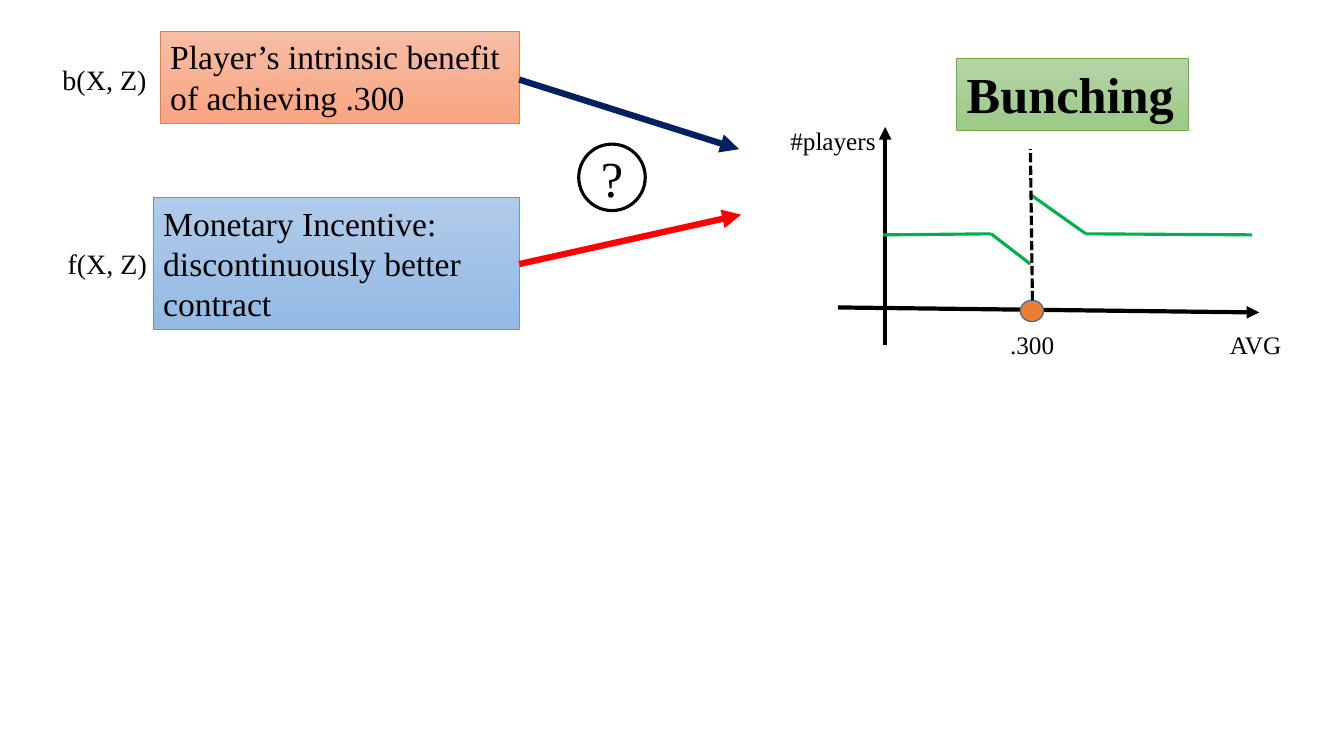
from itertools import pairwise

from lxml import etree
from pptx import Presentation
from pptx.dml.color import RGBColor
from pptx.enum.dml import MSO_LINE
from pptx.enum.shapes import MSO_CONNECTOR, MSO_SHAPE
from pptx.enum.text import MSO_ANCHOR, MSO_AUTO_SIZE, PP_ALIGN
from pptx.oxml.ns import qn
from pptx.util import Inches, Pt

COLORS = {
    "black": "000000", "white": "FFFFFF", "navy": "002060", "red": "FF0000",
    "curve": "00B050", "dot": "ED7D31", "dot_edge": "43739E",
}
# gradient top, gradient bottom, border
BOX_COLORS = {
    "orange": ("F7BDA5", "F8A582", "ED7D31"),
    "blue": ("B1CBE9", "93B9E4", "5B9BD5"),
    "green": ("B5D5A7", "9CC987", "70AD47"),
}


def rgb(name):
    return RGBColor.from_string(COLORS.get(name, name))


def write(sp, text, size, **formats):
    """Fill the shape with one paragraph per line of text."""
    tf = sp.text_frame
    tf.word_wrap = True
    tf.auto_size = MSO_AUTO_SIZE.SHAPE_TO_FIT_TEXT
    tf.text = text
    values = {"name": "Times New Roman", "size": Pt(size), **formats}
    for p in tf.paragraphs:
        p.alignment = PP_ALIGN.LEFT
        for r in p.runs:
            r.font.color.rgb = rgb("black")
            for key, value in values.items():
                setattr(r.font, key, value)
    return tf


def add_label(s, x, y, w, h, text, size=18, tight=False):
    """Add a text box; a tight one has no margins and does not wrap."""
    sp = s.shapes.add_textbox(Inches(x), Inches(y), Inches(w), Inches(h))
    tf = write(sp, text, size)
    if tight:
        tf.word_wrap = False
        for side in ("left", "top", "right", "bottom"):
            setattr(tf, f"margin_{side}", 0)


def add_outlined(s, kind, x, y, w, h, line, width):
    sp = s.shapes.add_shape(kind, Inches(x), Inches(y), Inches(w), Inches(h))
    sp.shadow.inherit = False
    sp.line.color.rgb = rgb(line)
    sp.line.width = Pt(width)
    return sp


def add_gradient_box(s, x, y, w, h, text, scheme, size=24, **formats):
    top, bottom, border = BOX_COLORS[scheme]
    sp = add_outlined(s, MSO_SHAPE.RECTANGLE, x, y, w, h, border, 0.5)
    sp.fill.gradient()
    sp.fill.gradient_angle = 270
    for stop, color, position in zip(sp.fill.gradient_stops, (top, bottom), (0, 1)):
        stop.color.rgb = rgb(color)
        stop.position = position
    write(sp, text, size, **formats).vertical_anchor = MSO_ANCHOR.TOP


def add_ellipse(s, x, y, w, h, fill, line, width):
    sp = add_outlined(s, MSO_SHAPE.OVAL, x, y, w, h, line, width)
    sp.fill.solid()
    sp.fill.fore_color.rgb = rgb(fill)
    return sp


def add_line(s, x, y, start, end, color, width, arrow=False, dash=None):
    """Join two points given relative to (x, y)."""
    (x1, y1), (x2, y2) = start, end
    c = s.shapes.add_connector(MSO_CONNECTOR.STRAIGHT, Inches(x + x1),
                               Inches(y + y1), Inches(x + x2), Inches(y + y2))
    c.line.color.rgb = rgb(color)
    c.line.width = Pt(width)
    if dash:
        c.line.dash_style = dash
    if arrow:
        etree.SubElement(c.line._get_or_add_ln(), qn("a:tailEnd"), type="triangle")
    etree.SubElement(c._element.spPr, qn("a:effectLst"))


def draw_incentives(s, x, y):
    """Draw the two incentives, their arrows and the question mark."""
    add_gradient_box(s, x + 0.99, y + 0.01, 3.56, 0.91,
                     "Player’s intrinsic benefit\nof achieving .300", "orange")
    add_gradient_box(s, x + 0.92, y + 1.66, 3.63, 1.31,
                     "Monetary Incentive: discontinuously better contract", "blue")
    add_label(s, x + 0.02, y + 0.32, 0.84, 0.34, "b(X, Z)", 20, tight=True)
    add_label(s, x + 0.07, y + 2.15, 0.79, 0.34, "f(X, Z)", 20, tight=True)

    add_line(s, x, y, (4.55, 0.49), (6.73, 1.18), "navy", 4.5, arrow=True)
    add_line(s, x, y, (4.55, 2.32), (6.75, 1.83), "red", 4.5, arrow=True)

    question = add_ellipse(s, x + 5.14, y + 1.13, 0.66, 0.66, "white", "black", 2.25)
    tf = write(question, "?", 36)
    tf.auto_size = MSO_AUTO_SIZE.NONE
    tf.vertical_anchor = MSO_ANCHOR.MIDDLE
    tf.paragraphs[0].alignment = PP_ALIGN.CENTER


def draw_bunching_graph(s, x, y):
    add_gradient_box(s, x + 1.79, y + 0.08, 2.3, 0.71, "Bunching", "green", 36, bold=True)

    axes = [((0.61, 2.55), (4.79, 2.6)), ((1.08, 2.92), (1.08, 0.76))]
    for start, end in axes:
        add_line(s, x, y, start, end, "black", 3, arrow=True)

    below_cutoff = [(1.06, 1.83), (2.13, 1.82), (2.52, 2.12)]
    above_cutoff = [(2.52, 1.43), (3.07, 1.82), (4.72, 1.83)]
    for branch in (below_cutoff, above_cutoff):
        for start, end in pairwise(branch):
            add_line(s, x, y, start, end, "curve", 2.25)

    add_ellipse(s, x + 2.42, y + 2.48, 0.23, 0.21, "dot", "dot_edge", 1)
    add_line(s, x, y, (2.54, 2.48), (2.52, 0.98), "black", 2.25,
             dash=MSO_LINE.SQUARE_DOT)

    add_label(s, x + 0.04, y + 0.69, 1.15, 0.4, "#players")
    add_label(s, x + 2.22, y + 2.72, 0.66, 0.4, ".300")
    add_label(s, x + 4.4, y + 2.72, 0.79, 0.4, "AVG")


def main():
    prs = Presentation()
    prs.slide_width, prs.slide_height = Inches(13.33), Inches(7.5)
    s = prs.slides.add_slide(prs.slide_layouts[6])
    draw_incentives(s, 0.6, 0.3)
    draw_bunching_graph(s, 7.7, 0.5)
    prs.save("out.pptx")


if __name__ == "__main__":
    main()
